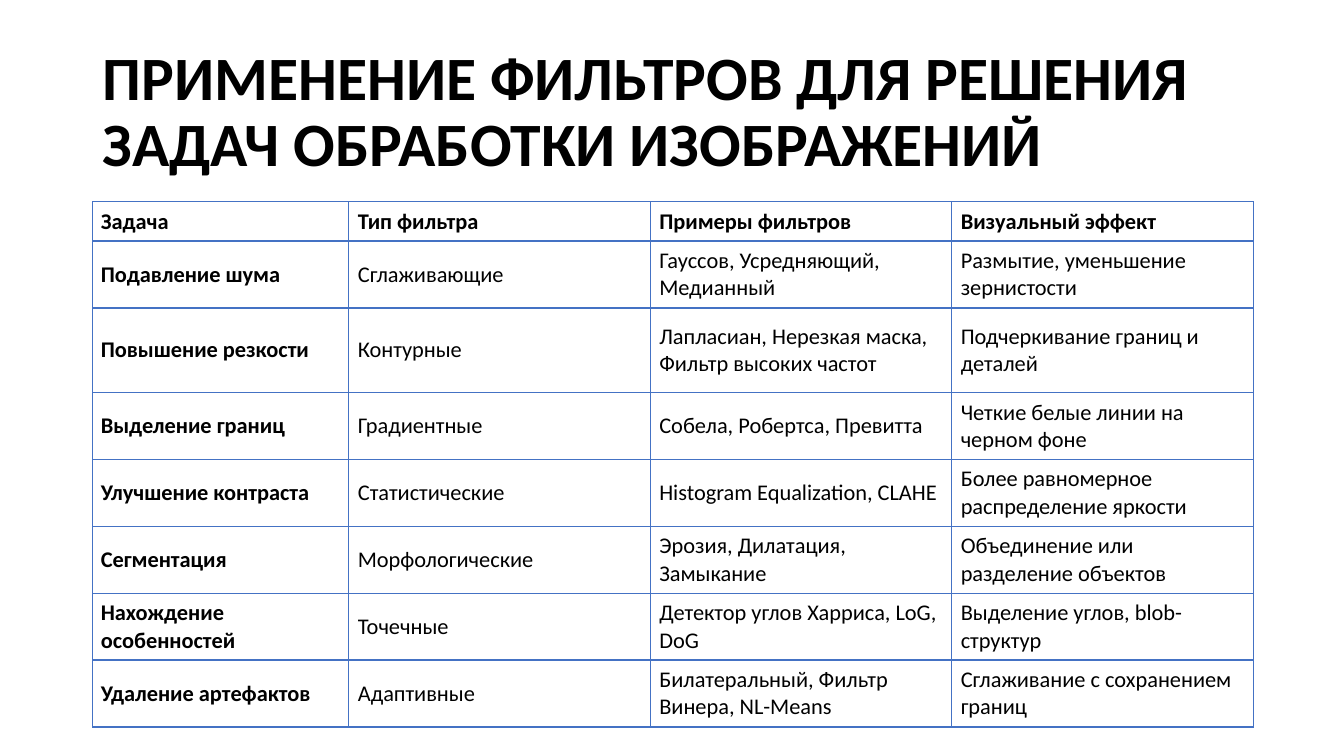
from lxml import etree
from pptx import Presentation
from pptx.dml.color import RGBColor as RGB
from pptx.enum.text import MSO_ANCHOR as Anchor, MSO_AUTO_SIZE as AutoSize, PP_ALIGN as Align
from pptx.oxml.ns import qn
from pptx.util import Inches, Pt

COLORS = {"text": "000000", "border": "4472C4"}
FONT = "Calibri"
TITLE = "ПРИМЕНЕНИЕ ФИЛЬТРОВ ДЛЯ РЕШЕНИЯ ЗАДАЧ ОБРАБОТКИ ИЗОБРАЖЕНИЙ"
FILTERS = [
    ("Задача", "Тип фильтра", "Примеры фильтров", "Визуальный эффект"),
    ("Подавление шума", "Сглаживающие", "Гауссов, Усредняющий, Медианный",
     "Размытие, уменьшение зернистости"),
    ("Повышение резкости", "Контурные", "Лапласиан, Нерезкая маска, Фильтр высоких частот",
     "Подчеркивание границ и деталей"),
    ("Выделение границ", "Градиентные", "Собела, Робертса, Превитта",
     "Четкие белые линии на черном фоне"),
    ("Улучшение контраста", "Статистические", "Histogram Equalization, CLAHE",
     "Более равномерное распределение яркости"),
    ("Сегментация", "Морфологические", "Эрозия, Дилатация, Замыкание",
     "Объединение или разделение объектов"),
    ("Нахождение особенностей", "Точечные", "Детектор углов Харриса, LoG, DoG",
     "Выделение углов, blob-структур"),
    ("Удаление артефактов", "Адаптивные", "Билатеральный, Фильтр Винера, NL-Means",
     "Сглаживание с сохранением границ"),
]
COL_WIDTHS = [2.54] + [2.99] * 3
ROW_HEIGHTS = [0.35, 0.59, 0.84] + [0.59] * 5


def put_text(tf, text, size=16, bold=False, color="text", spacing=1.0):
    """Write one left-aligned paragraph into a text frame."""
    p = tf.paragraphs[0]
    p.alignment = Align.LEFT
    p.line_spacing = spacing
    r = p.add_run()
    r.text = text
    r.font.name = FONT
    r.font.size = Pt(size)
    r.font.bold = bold
    r.font.color.rgb = RGB.from_string(COLORS[color])


class SlideBuilder:
    def __init__(self, prs):
        self.slide = prs.slides.add_slide(prs.slide_layouts[5])

    def title(self, text, left, top, width, height):
        sp = self.slide.shapes.title
        sp.left, sp.top, sp.width, sp.height = map(Inches, (left, top, width, height))
        tf = sp.text_frame
        tf.word_wrap = True
        tf.auto_size = AutoSize.NONE
        tf.vertical_anchor = Anchor.MIDDLE
        put_text(tf, text, size=44, bold=True, spacing=0.9)

    def border(self, cell):
        tc_pr = cell._tc.get_or_add_tcPr()
        for i, side in enumerate(("lnL", "lnR", "lnT", "lnB")):
            ln = etree.Element(qn(f"a:{side}"), w=str(Pt(1)))
            fill = etree.SubElement(ln, qn("a:solidFill"))
            etree.SubElement(fill, qn("a:srgbClr"), val=COLORS["border"])
            tc_pr.insert(i, ln)

    def table(self, rows, widths, heights, left, top):
        frame = self.slide.shapes.add_table(
            len(rows), len(widths), Inches(left), Inches(top),
            Inches(sum(widths)), Inches(sum(heights)))
        tbl = frame.table
        tbl.first_row = tbl.horz_banding = False
        for col, width in zip(tbl.columns, widths):
            col.width = Inches(width)
        for row, height in zip(tbl.rows, heights):
            row.height = Inches(height)
        for i, texts in enumerate(rows):
            for j, text in enumerate(texts):
                cell = tbl.cell(i, j)
                cell.fill.background()
                cell.vertical_anchor = Anchor.MIDDLE
                cell.margin_left = Inches(0.09 if j else 0.08)
                cell.margin_right = Inches(0.09)
                cell.margin_top = cell.margin_bottom = Inches(0.06)
                self.border(cell)
                # Header row and first column are bold
                put_text(cell.text_frame, text, bold=i == 0 or j == 0)


def main():
    prs = Presentation()
    prs.slide_width, prs.slide_height = Inches(13.33), Inches(7.5)
    s = SlideBuilder(prs)
    # Heading
    s.title(TITLE, 0.92, 0.4, 11.5, 1.45)
    # Filters by task
    s.table(FILTERS, COL_WIDTHS, ROW_HEIGHTS, 0.92, 2)
    prs.save("out.pptx")


if __name__ == "__main__":
    main()
